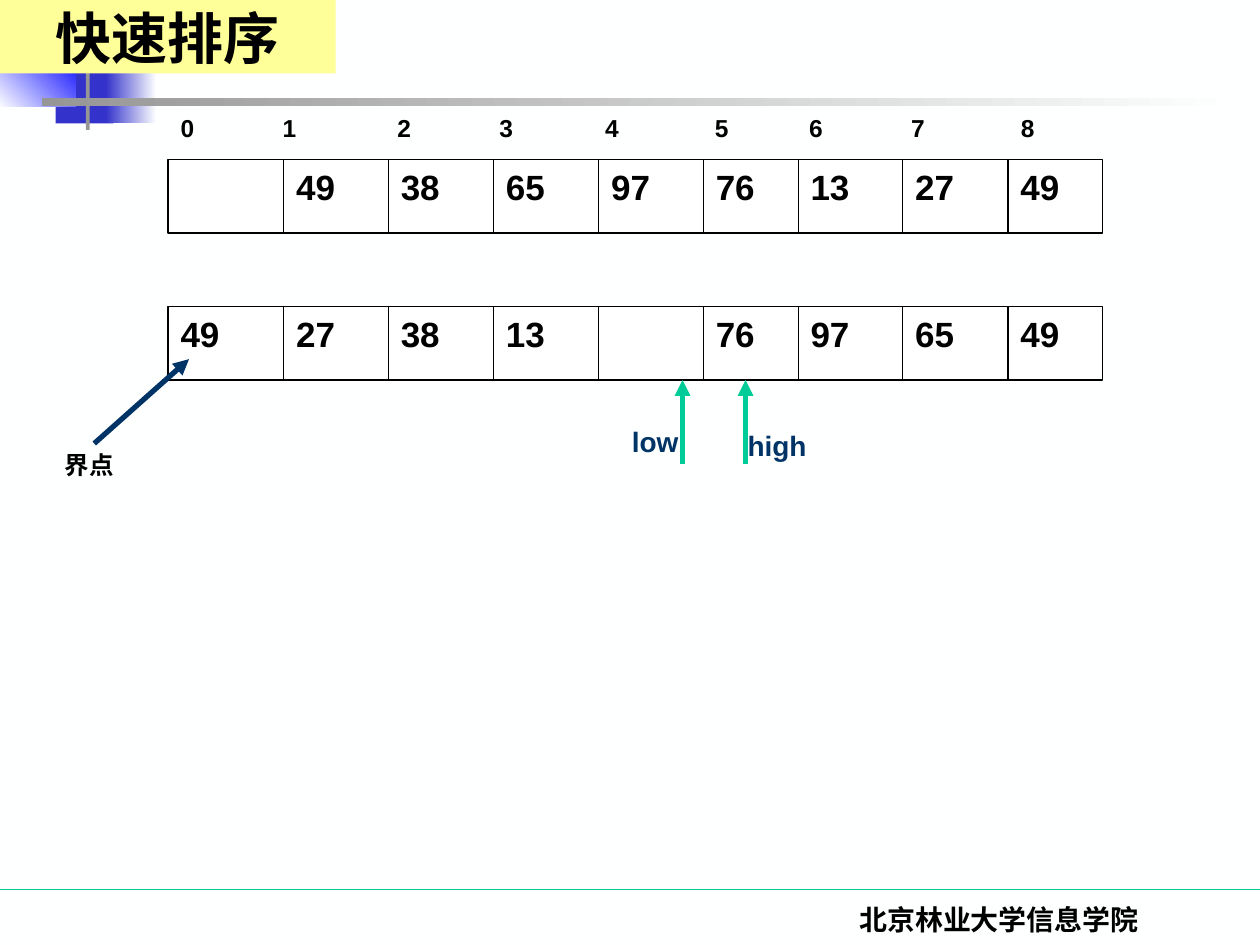
from lxml import etree
from pptx import Presentation
from pptx.dml.color import RGBColor
from pptx.enum import shapes, text
from pptx.oxml.ns import qn
from pptx.util import Cm, Pt

COLORS = {"bg": "FEFFFF", "white": "FFFFFF", "black": "000000", "navy": "003366",
          "green": "00CC99", "indigo": "3333CC", "blue": "0000FF",
          "grey": "969696", "yellow": "FFFF99"}

DECOR = [
    ((1.12, 1.17, 1.17, 1.32), ("indigo",), 0),
    ((2.13, 1.17, 1.02, 1.32), ("indigo", "bg"), 0),
    ((-0.03, 0.97, 1.55, 1.17), ("bg", "blue"), 45),
    ((1.73, -0.3, 0.08, 2.92), ("grey",), 0),
    ((0.84, 1.98, 24.16, 0.15), ("grey", "bg"), 0),
]
EDGES = [3.39, 5.72, 7.83, 9.95, 12.07, 14.18, 16.09, 18.2, 20.32, 22.22]
CELL_H = 1.48
ROWS = [
    (3.22, ["", "49", "38", "65", "97", "76", "13", "27", "49"]),
    (6.18, ["49", "27", "38", "13", "", "76", "97", "65", "49"]),
]
INDEXES = "0\t1\t2\t3\t4\t5\t6\t7\t8"
INDEX_TABS = [2.06, 4.37, 6.43, 8.56, 10.77, 12.67, 14.73, 16.94]
LABELS = [
    ("high", (14.82, 8.51, 2.33, 0.94), 16, "navy"),
    ("low", (12.49, 8.43, 2.33, 0.94), 16, "navy"),
    ("界点", (1.06, 8.94, 2.12, 0.86), 14, "black"),
]
ARROWS = [
    ((15.03, 9.35, 15.03, 7.66), "green"),
    ((13.76, 9.35, 13.76, 7.66), "green"),
    ((1.9, 8.94, 3.81, 7.24), "navy"),
]


def rgb(name):
    return RGBColor.from_string(COLORS[name])


def add_rect(s, box, fills, angle=0, line=None):
    sp = s.shapes.add_shape(shapes.MSO_SHAPE.RECTANGLE, *map(Cm, box))
    sp.shadow.inherit = False
    if len(fills) == 1:
        sp.fill.solid()
        sp.fill.fore_color.rgb = rgb(fills[0])
    else:
        sp.fill.gradient()
        sp.fill.gradient_angle = angle
        for stop, name in zip(sp.fill.gradient_stops, fills):
            stop.color.rgb = rgb(name)
    if line:
        sp.line.color.rgb = rgb(line)
        sp.line.width = Pt(0.75)
    else:
        sp.line.fill.background()
    return sp


def add_line(s, ends, color, width=0.75, arrow=False):
    cxn = s.shapes.add_connector(shapes.MSO_CONNECTOR.STRAIGHT, *map(Cm, ends))
    cxn.line.color.rgb = rgb(color)
    cxn.line.width = Pt(width)
    if arrow:
        etree.SubElement(cxn.line._get_or_add_ln(), qn("a:tailEnd"), type="triangle")
    etree.SubElement(cxn._element.spPr, qn("a:effectLst"))


def write(sp, content, size, color="black", font="Arial", align=None, tabs=()):
    tf = sp.text_frame
    tf.word_wrap = True
    tf.text = content
    p = tf.paragraphs[0]
    p.alignment = align
    if tabs:
        tab_list = etree.SubElement(p._p.get_or_add_pPr(), qn("a:tabLst"))
        for pos in tabs:
            etree.SubElement(tab_list, qn("a:tab"), pos=str(Cm(pos)), algn="l")
    for r in p.runs:
        r.font.size = Pt(size)
        r.font.bold = True
        r.font.name = font
        r.font.color.rgb = rgb(color)


def add_text(s, box, content, size, **style):
    write(s.shapes.add_textbox(*map(Cm, box)), content, size, **style)


def add_array(s, top, values):
    add_rect(s, (EDGES[0], top, EDGES[-1] - EDGES[0], CELL_H), ("white",), line="black")
    for x in EDGES[1:-1]:
        add_line(s, (x, top, x, top + CELL_H), "black")
    for x, value in zip(EDGES, values):
        if value:
            add_text(s, (x, top, 1.7, 1.12), value, 20)


def main():
    prs = Presentation()
    prs.slide_width, prs.slide_height = Cm(25.4), Cm(19.05)
    s = prs.slides.add_slide(prs.slide_layouts[6])
    s.background.fill.solid()
    s.background.fill.fore_color.rgb = rgb("bg")

    add_line(s, (0, 17.93, 25.4, 17.93), "green")
    for box, fills, angle in DECOR:
        add_rect(s, box, fills, angle)
    add_text(s, (14.88, 18.06, 10.52, 1.27), "北京林业大学信息学院", 16,
             font="Times New Roman", align=text.PP_ALIGN.CENTER)

    for top, values in ROWS:
        add_array(s, top, values)
    add_text(s, (EDGES[0], 2.16, EDGES[-1] - EDGES[0], 0.86), INDEXES, 14, tabs=INDEX_TABS)

    for ends, color in ARROWS:
        add_line(s, ends, color, 3, arrow=True)
    for label, box, size, color in LABELS:
        add_text(s, box, label, size, color=color)

    title = add_rect(s, (0, 0, 6.77, 1.48), ("yellow",))
    title.text_frame.vertical_anchor = text.MSO_ANCHOR.MIDDLE
    write(title, "快速排序", 32, font="Times New Roman", align=text.PP_ALIGN.CENTER)

    prs.save("out.pptx")


if __name__ == "__main__":
    main()
